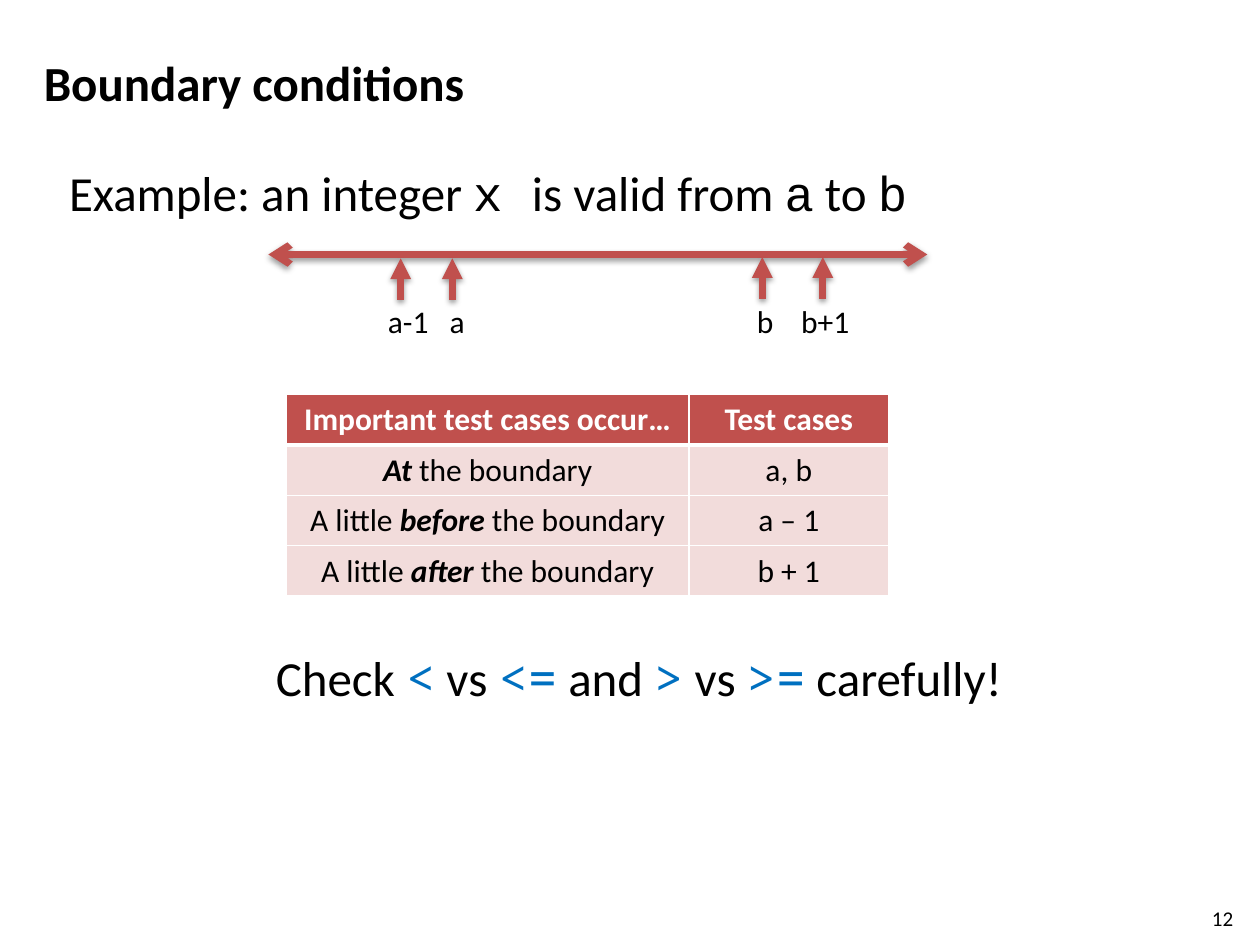
from lxml.etree import SubElement
from pptx import Presentation
from pptx.dml.color import RGBColor
from pptx.enum.shapes import MSO_CONNECTOR
from pptx.enum.text import MSO_ANCHOR, PP_ALIGN
from pptx.oxml.ns import qn
from pptx.util import Inches, Pt

COLORS = {
    "text": "000000",
    "accent": "C0504D",
    "row": "F2DCDB",
    "white": "FFFFFF",
    "operator": "0070C0",
    "shadow": "000000",
}
BODY_FONT, CODE_FONT, MONO_FONT = "Calibri", "Courier New", "Noto Sans Mono"


def rgb(name):
    """Return the named colour."""
    return RGBColor.from_string(COLORS[name])


def add_run(paragraph, text, size, font=BODY_FONT, color="text", bold=False, italic=False):
    """Append one formatted run to a paragraph."""
    run = paragraph.add_run()
    run.text = text
    run.font.name, run.font.size = font, Pt(size)
    run.font.bold, run.font.italic = bold, italic
    run.font.color.rgb = rgb(color)


def add_text(slide, box, parts, size, align=PP_ALIGN.LEFT, anchor=MSO_ANCHOR.TOP, tabs=()):
    """Place a one-paragraph text box made of (text, format) parts."""
    frame = slide.shapes.add_textbox(*map(Inches, box)).text_frame
    frame.word_wrap = True
    frame.vertical_anchor = anchor
    paragraph = frame.paragraphs[0]
    paragraph.alignment = align
    if tabs:
        tab_list = SubElement(paragraph._p.get_or_add_pPr(), qn("a:tabLst"))
        for stop in tabs:
            SubElement(tab_list, qn("a:tab"), pos=str(Inches(stop)), algn="l")
    for text, look in parts:
        add_run(paragraph, text, size, **look)


def add_arrow(slide, start, end, **ends):
    """Draw a shadowed accent line with the given arrowheads."""
    points = map(Inches, (*start, *end))
    arrow = slide.shapes.add_connector(MSO_CONNECTOR.STRAIGHT, *points)
    arrow.line.color.rgb = rgb("accent")
    arrow.line.width = Pt(4)
    outline = arrow.line._get_or_add_ln()
    for tag, style in ends.items():
        SubElement(outline, qn(f"a:{tag}"), type=style)
    effects = SubElement(arrow._element.spPr, qn("a:effectLst"))
    shadow = SubElement(effects, qn("a:outerShdw"), blurRad=str(Pt(3.1)),
                        dist=str(Pt(1.6)), dir="5400000", rotWithShape="0")
    tint = SubElement(shadow, qn("a:srgbClr"), val=COLORS["shadow"])
    SubElement(tint, qn("a:alpha"), val="38000")


def add_number_line(slide, left, top, width):
    """Draw the range axis with its boundary markers and labels."""
    add_arrow(slide, (left, top), (left + width, top), headEnd="arrow", tailEnd="arrow")
    for offset, drop in ((1.05, 0.03), (1.46, 0.03), (3.92, 0.02), (4.4, 0.02)):
        x, y = left + offset, top + drop
        add_arrow(slide, (x, y), (x, y + 0.33), headEnd="triangle")
    labels = "\t".join(("a-1", "a", "b", "b+1"))
    add_text(slide, (left + 0.85, top + 0.33, 4, 0.51), [(labels, {})], 18,
             tabs=(0.49, 2.93, 3.28))


def style_cell(cell, fill, bottom_width):
    """Give a cell its white borders and fill."""
    properties = cell._tc.get_or_add_tcPr()
    for side, width in (("L", 1), ("R", 1), ("T", 1), ("B", bottom_width)):
        border = SubElement(properties, qn(f"a:ln{side}"), w=str(Pt(width)))
        solid = SubElement(border, qn("a:solidFill"))
        SubElement(solid, qn("a:srgbClr"), val=COLORS["white"])
    cell.fill.solid()
    cell.fill.fore_color.rgb = rgb(fill)


def add_case_table(slide, left, top):
    """Place the table of important test cases."""
    strong = {"bold": True, "italic": True}
    heading = {"bold": True, "color": "white"}
    rows = [
        ([("Important test cases occur…", heading)], [("Test cases", heading)]),
        ([("At", strong), (" the boundary", {})], [("a, b", {})]),
        ([("A little ", {}), ("before", strong), (" the boundary", {})], [("a – 1", {})]),
        ([("A little ", {}), ("after", strong), (" the boundary", {})], [("b + 1", {})]),
    ]
    widths, row_height = (3.2, 1.58), 0.4
    box = (left, top, sum(widths), row_height * len(rows))
    table = slide.shapes.add_table(len(rows), len(widths), *map(Inches, box)).table
    for column, width in zip(table.columns, widths):
        column.width = Inches(width)
    for r, row in enumerate(rows):
        for c, parts in enumerate(row):
            cell = table.cell(r, c)
            is_header = r == 0
            style_cell(cell, "accent" if is_header else "row", 3 if is_header else 1)
            paragraph = cell.text_frame.paragraphs[0]
            paragraph.alignment = PP_ALIGN.CENTER
            for text, look in parts:
                add_run(paragraph, text, 18, **look)


def add_sentence(slide, box, words, marked, align=PP_ALIGN.LEFT):
    """Place a sentence whose every second part has the marked look."""
    parts = [(text, marked if i % 2 else {}) for i, text in enumerate(words)]
    add_text(slide, box, parts, 28, align)


def main():
    """Build and save the boundary conditions slide."""
    deck = Presentation()
    deck.slide_width, deck.slide_height = Inches(10), Inches(7.5)
    slide = deck.slides.add_slide(deck.slide_layouts[6])
    add_text(slide, (0.25, 0.3, 8.67, 0.7), [("Boundary conditions", {"bold": True})], 28,
             anchor=MSO_ANCHOR.MIDDLE)
    add_text(slide, (9.52, 7.14, 0.4, 0.24), [("12", {})], 12)
    add_sentence(slide, (0.45, 1.24, 8.54, 1.85),
                 ("Example: an integer ", "x ", "is valid from ", "a", " to ", "b"),
                 {"font": CODE_FONT})
    add_number_line(slide, 2.13, 2.02, 5.23)
    add_case_table(slide, 2.27, 3.13)
    add_sentence(slide, (0.8, 5.09, 8.54, 1.85),
                 ("Check ", "<", " vs ", "<=", " and ", ">", " vs ", ">=", " carefully!"),
                 {"font": MONO_FONT, "color": "operator"}, PP_ALIGN.CENTER)
    deck.save("out.pptx")


if __name__ == "__main__":
    main()
